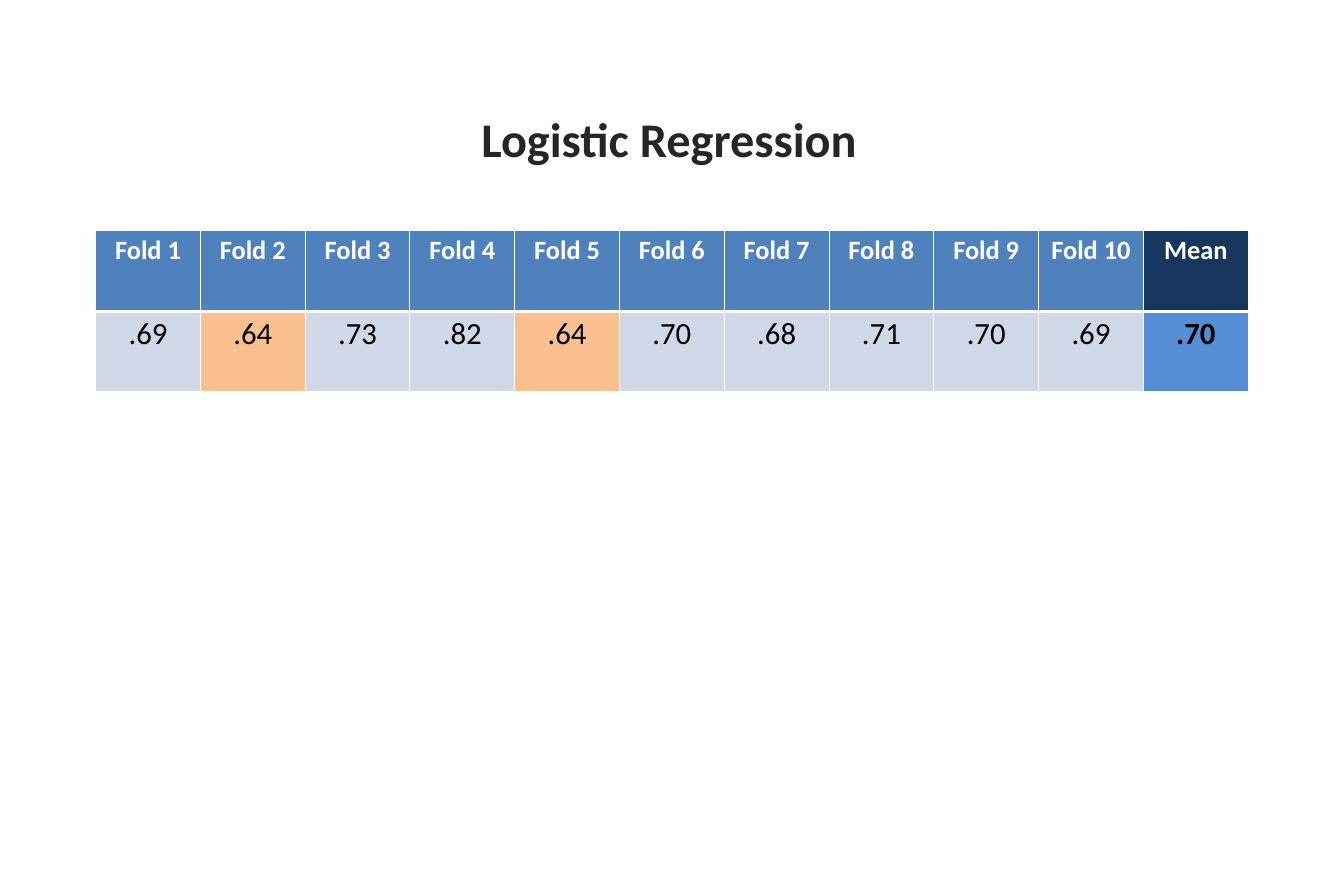
from dataclasses import dataclass

from lxml import etree
from pptx import Presentation
from pptx import util as u
from pptx.dml import color
from pptx.enum import text
from pptx.oxml import ns

# The slide is a grid of 17 columns by 11 rows, one inch each
COLUMNS, ROWS = 17, 11
SLIDE_WIDTH, SLIDE_HEIGHT = u.Inches(17), u.Inches(11)


@dataclass(frozen=True)
class Theme:
    font: str = "Calibri"
    title_size: int = 44
    header_size: int = 24
    score_size: int = 28
    title: str = "262626"
    header: str = "4F81BD"
    mean_header: str = "17375E"
    score: str = "D0D8E8"
    lowest: str = "FAC090"
    mean: str = "558ED5"
    white: str = "FFFFFF"
    black: str = "000000"
    border: int = 1
    header_border: int = 3


@dataclass(frozen=True)
class Result:
    label: str
    score: str
    is_mean: bool = False


THEME = Theme()
FOLD_SCORES = [".69", ".64", ".73", ".82", ".64", ".70", ".68", ".71", ".70", ".69"]
RESULTS = [Result(f"Fold {number}", score) for number, score in enumerate(FOLD_SCORES, 1)]
RESULTS.append(Result("Mean", ".70", is_mean=True))


def across(columns: float) -> int:
    return round(SLIDE_WIDTH * columns / COLUMNS)


def down(rows: float) -> int:
    return round(SLIDE_HEIGHT * rows / ROWS)


def write(frame, words: str, *, size: int, ink: str, bold: bool = False,
          align=text.PP_ALIGN.CENTER) -> None:
    paragraph = frame.paragraphs[0]
    paragraph.alignment = align
    run = paragraph.add_run()
    run.text = words
    run.font.name = THEME.font
    run.font.size = u.Pt(size)
    run.font.bold = bold
    run.font.color.rgb = color.RGBColor.from_string(ink)


def style_cell(cell, fill: str, *, top: int, bottom: int) -> None:
    properties = cell._tc.get_or_add_tcPr()
    widths = {"lnL": THEME.border, "lnR": THEME.border, "lnT": top, "lnB": bottom}
    for side, width in widths.items():
        line = etree.SubElement(properties, ns.qn(f"a:{side}"), w=str(u.Pt(width)))
        solid = etree.SubElement(line, ns.qn("a:solidFill"))
        etree.SubElement(solid, ns.qn("a:srgbClr"), val=THEME.white)
    cell.fill.solid()
    cell.fill.fore_color.rgb = color.RGBColor.from_string(fill)


def score_fill(result: Result) -> str:
    if result.is_mean:
        return THEME.mean
    return THEME.lowest if result.score == min(FOLD_SCORES) else THEME.score


def add_results(slide) -> None:
    width = across(14.58)
    table = slide.shapes.add_table(2, len(RESULTS), across(1.21), down(2.92),
                                   width, down(2.03)).table
    for index, result in enumerate(RESULTS):
        table.columns[index].width = round(width / len(RESULTS))
        header, score = table.cell(0, index), table.cell(1, index)
        style_cell(header, THEME.mean_header if result.is_mean else THEME.header,
                   top=THEME.border, bottom=THEME.header_border)
        style_cell(score, score_fill(result),
                   top=THEME.header_border, bottom=THEME.border)
        write(header.text_frame, result.label, size=THEME.header_size,
              ink=THEME.white, bold=True)
        write(score.text_frame, result.score, size=THEME.score_size,
              ink=THEME.black, bold=result.is_mean)


def add_title(slide) -> None:
    frame = slide.shapes.add_textbox(across(5.99), down(1.33),
                                     across(5.02), down(0.84)).text_frame
    frame.word_wrap = True
    frame.auto_size = text.MSO_AUTO_SIZE.SHAPE_TO_FIT_TEXT
    write(frame, "Logistic Regression", size=THEME.title_size, ink=THEME.title,
          bold=True, align=text.PP_ALIGN.LEFT)


def main() -> None:
    presentation = Presentation()
    presentation.slide_width, presentation.slide_height = SLIDE_WIDTH, SLIDE_HEIGHT
    slide = presentation.slides.add_slide(presentation.slide_layouts[6])
    # Cross-validation scores
    add_results(slide)
    # Heading above the table
    add_title(slide)
    presentation.save("out.pptx")


if __name__ == "__main__":
    main()
